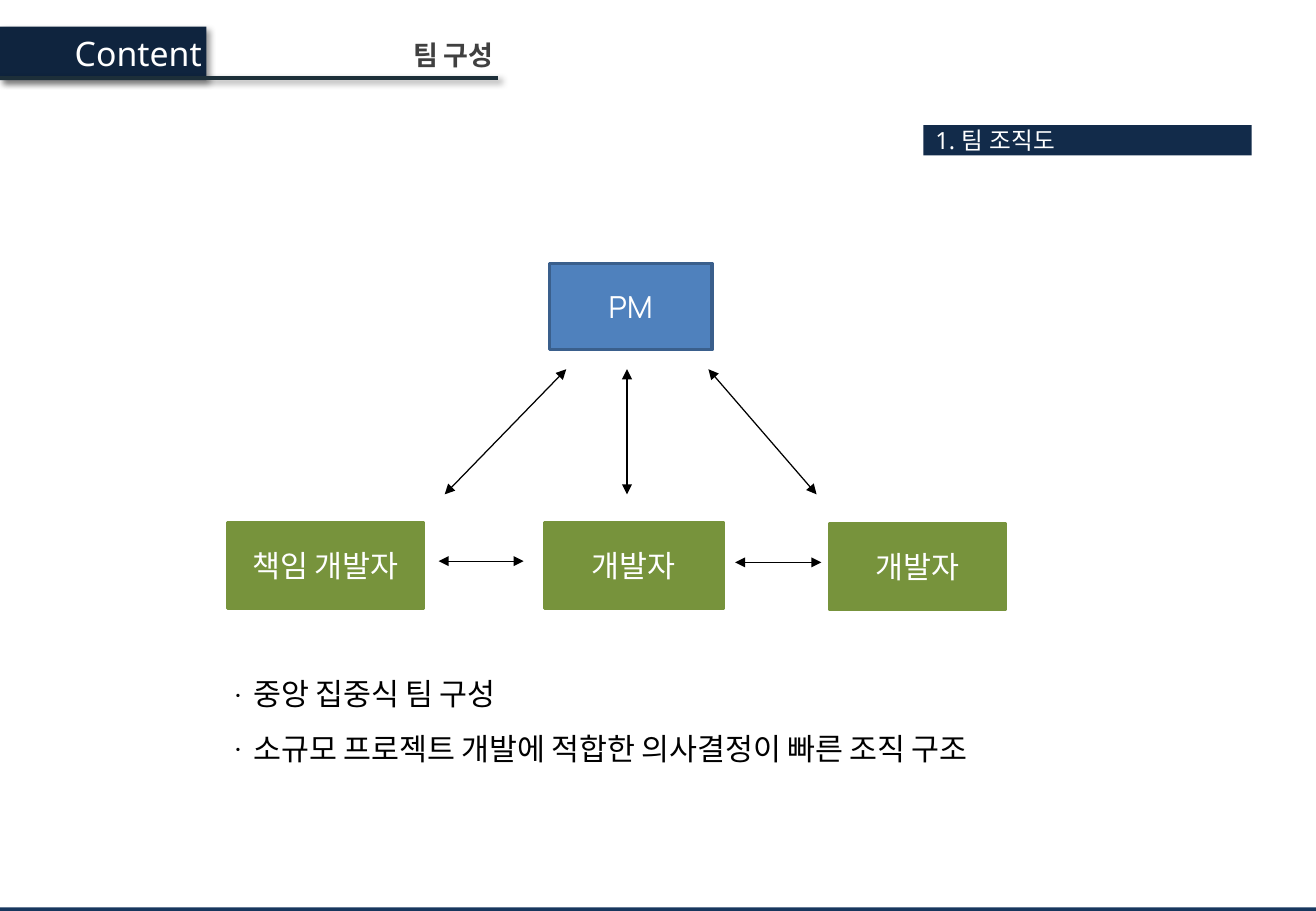
from collections import namedtuple
from lxml import etree
from pptx import Presentation
from pptx.dml.color import RGBColor
from pptx.enum.shapes import MSO_CONNECTOR as Connector, MSO_SHAPE as Preset
from pptx.enum.text import MSO_ANCHOR as Anchor, MSO_AUTO_SIZE as AutoSize, PP_ALIGN as Align
from pptx.oxml import parse_xml
from pptx.oxml.ns import nsdecls, qn
from pptx.util import Inches, Pt

WHITE = RGBColor(0xFF, 0xFF, 0xFF)
BLACK = RGBColor(0, 0, 0)
CHARCOAL = RGBColor(0x40, 0x40, 0x40)
NAVY = RGBColor(0x0F, 0x24, 0x3E)
SECTION_NAVY = RGBColor(0x12, 0x2B, 0x4A)
FOOTER_NAVY = RGBColor(0x17, 0x37, 0x5E)
RULE = RGBColor(0x1D, 0x2F, 0x39)
BLUE = RGBColor(0x4F, 0x81, 0xBD)
BLUE_EDGE = RGBColor(0x3A, 0x5F, 0x8C)
GREEN = RGBColor(0x77, 0x93, 0x3C)

Box = namedtuple("Box", "left top width height")
CONTENT_FONT = {"name": "Noto Sans", "size": Pt(20)}
SECTION_FONT = {"name": "Noto Sans", "size": Pt(14)}
TITLE_FONT = {"name": "Manrope", "size": Pt(16), "bold": True}
BODY_FONT = {"name": "Manrope", "size": Pt(18)}
SHADOW = (
    '<a:outerShdw blurRad="50800" dist="38100" dir="2700000" algn="tl" rotWithShape="0">'
    '<a:srgbClr val="000000"><a:alpha val="40000"/></a:srgbClr></a:outerShdw>'
)


def within(box, left, top, width, height):
    return Box(box.left + left, box.top + top, width, height)


def place(shape, box):
    for name, value in box._asdict().items():
        setattr(shape, name, Inches(value))


def set_effects(shape, effects=""):
    shape._element.spPr.append(
        parse_xml(f"<a:effectLst {nsdecls('a')}>{effects}</a:effectLst>"))


def write(shape, lines, font, color, align=Align.LEFT, anchor=Anchor.TOP, wrap=True):
    frame = shape.text_frame
    settings = {"text": "\n".join(lines), "word_wrap": wrap,
                "auto_size": AutoSize.NONE, "vertical_anchor": anchor}
    for name, value in settings.items():
        setattr(frame, name, value)
    for para in frame.paragraphs:
        para.alignment = align
        for span in para.runs:
            for name, value in font.items():
                setattr(span.font, name, value)
            span.font.color.rgb = color
            latin = span.font._element.find(qn("a:latin"))
            east_asian = etree.Element(qn("a:ea"), typeface=font["name"])
            latin.addnext(east_asian)


def add_block(page, box, fill, edge=None):
    shape = page.shapes.add_shape(Preset.RECTANGLE, *map(Inches, box))
    shape.shadow.inherit = False
    shape.fill.solid()
    shape.fill.fore_color.rgb = fill
    if edge is None:
        shape.line.fill.background()
    else:
        shape.line.color.rgb = edge
        shape.line.width = Pt(2)
    return shape


def add_line(page, start, end, color, width, effects=""):
    line = page.shapes.add_connector(Connector.STRAIGHT, *map(Inches, start + end))
    line.line.color.rgb = color
    line.line.width = Pt(width)
    set_effects(line, effects)
    return line


def add_arrow(page, start, end):
    arrow = add_line(page, start, end, BLACK, 0.75)
    for tag in ("a:headEnd", "a:tailEnd"):
        etree.SubElement(arrow.line._get_or_add_ln(), qn(tag), type="triangle")


def build_header(page, box):
    tab = add_block(page, within(box, 0, 0, 1.7, box.height), NAVY)
    tab._element.spPr.remove(tab._element.spPr.find(qn("a:effectLst")))
    set_effects(tab, SHADOW)
    label = page.shapes.add_textbox(*map(Inches, within(box, 0.5, 0, 1.26, box.height)))
    write(label, ["Content"], CONTENT_FONT, WHITE, Align.RIGHT, wrap=False)
    title = page.shapes.title
    place(title, within(box, 3.23, 0.05, 0.93, 0.37))
    write(title, ["팀 구성"], TITLE_FONT, CHARCOAL, Align.RIGHT, wrap=False)
    rule_y = box.top + 0.42
    add_line(page, (box.left, rule_y), (box.left + box.width, rule_y), RULE, 2.25, SHADOW)


def build_section_label(page, box):
    label = add_block(page, box, SECTION_NAVY)
    write(label, ["1. 팀 조직도"], SECTION_FONT, WHITE, anchor=Anchor.MIDDLE)


def build_team_chart(page, box):
    members = [
        ("PM", (2.65, 0, 1.34, 0.71), BLUE, BLUE_EDGE),
        ("책임 개발자", (0, 2.13, 1.61, 0.71), GREEN, GREEN),
        ("개발자", (2.61, 2.13, 1.47, 0.71), GREEN, GREEN),
        ("개발자", (4.96, 2.14, 1.44, 0.71), GREEN, GREEN),
    ]
    for name, area, fill, edge in members:
        member = add_block(page, within(box, *area), fill, edge)
        write(member, [name], BODY_FONT, WHITE, Align.CENTER, Anchor.MIDDLE)
    upper, lower = box.top + 0.87, box.top + 1.9
    for start, end in ((2.79, 1.79), (3.29, 3.29), (3.96, 4.85)):
        add_arrow(page, (box.left + start, upper), (box.left + end, lower))
    for start, end, drop in ((1.74, 2.44, 2.45), (4.18, 4.89, 2.46)):
        level = box.top + drop
        add_arrow(page, (box.left + start, level), (box.left + end, level))


def build_notes_list(page, box):
    body = page.placeholders[1]
    place(body, box)
    lines = ["중앙 집중식 팀 구성", "소규모 프로젝트 개발에 적합한 의사결정이 빠른 조직 구조"]
    write(body, lines, BODY_FONT, BLACK)
    indent = Inches(0.16)
    for para in body.text_frame.paragraphs:
        for name, value in {"line_spacing": 1.5, "space_before": Pt(0)}.items():
            setattr(para, name, value)
        props = para._p.get_or_add_pPr()
        props.set("marL", str(indent))
        props.set("indent", str(-indent))
        etree.SubElement(props, qn("a:buFont"), typeface="Manrope")
        etree.SubElement(props, qn("a:buChar"), char="·")


def build_footer(page, box):
    add_block(page, box, FOOTER_NAVY)


deck = Presentation()
deck.slide_width, deck.slide_height = Inches(10.83), Inches(7.5)
page = deck.slides.add_slide(deck.slide_layouts[1])
build_footer(page, Box(0, 7.47, 10.83, 0.03))
build_section_label(page, Box(7.6, 1.03, 2.7, 0.25))
build_header(page, Box(0, 0.22, 4.1, 0.44))
build_team_chart(page, Box(1.87, 2.17, 6.4, 2.85))
build_notes_list(page, Box(1.83, 5.36, 8.43, 1.01))
deck.save("out.pptx")
